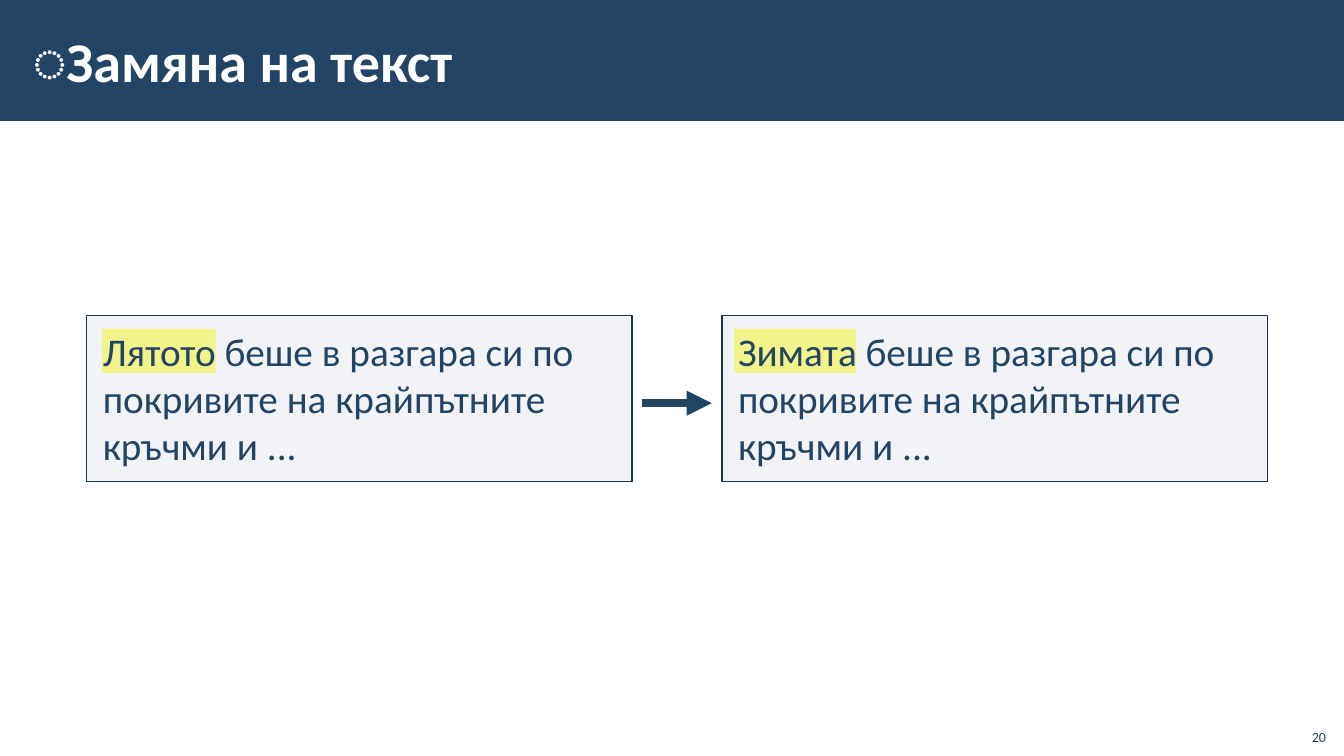
from dataclasses import dataclass

from lxml.etree import SubElement
from pptx import Presentation
from pptx.dml.color import RGBColor
from pptx.enum.shapes import MSO_CONNECTOR, MSO_SHAPE
from pptx.enum.text import MSO_ANCHOR, PP_ALIGN
from pptx.oxml.ns import qn
from pptx.util import Inches, Pt

TITLE = "͏Замяна на текст"
PAGE_NUMBER = "20"
SENTENCES = [
    {"text": "Лятото беше в разгара си по покривите на крайпътните кръчми и ...",
     "mark_offset": 0.15, "mark_width": 1.13},
    {"text": "Зимата беше в разгара си по покривите на крайпътните кръчми и ...",
     "mark_offset": 0.12, "mark_width": 1.21},
]


@dataclass(frozen=True)
class Theme:
    font: str = "Calibri"
    navy: str = "234465"
    outline: str = "1A334C"
    panel: str = "ADB4C3"
    mark: str = "FFFF00"
    arrow: str = "214364"
    white: str = "FFFFFF"
    title_size: int = 40
    body_size: int = 28
    number_size: int = 10


THEME = Theme()
SLIDE_WIDTH, SLIDE_HEIGHT = 13.33, 7.5
HEADER_HEIGHT = 0.16 * SLIDE_HEIGHT
PANEL_LEFT, PANEL_TOP = 0.86, 3.13
PANEL_WIDTH, PANEL_HEIGHT = 5.41, 1.65
PANEL_STEP = 6.3
MARK_TOP, MARK_HEIGHT = PANEL_TOP + 0.13, 0.44
ARROW_GAP, ARROW_Y = 0.1, 4.0

deck = Presentation()
deck.slide_width, deck.slide_height = Inches(SLIDE_WIDTH), Inches(SLIDE_HEIGHT)
slide = deck.slides.add_slide(deck.slide_layouts[6])


def add_block(left, top, width, height, fill, opacity=100, outline=None):
    block = slide.shapes.add_shape(
        MSO_SHAPE.RECTANGLE, Inches(left), Inches(top), Inches(width), Inches(height))
    block.shadow.inherit = False
    block.fill.solid()
    block.fill.fore_color.rgb = RGBColor.from_string(fill)
    if opacity < 100:
        color = block.fill._xPr.find(qn("a:solidFill"))[0]
        SubElement(color, qn("a:alpha")).set("val", str(opacity * 1000))
    if outline:
        block.line.color.rgb = RGBColor.from_string(outline)
        block.line.width = Pt(1)
    else:
        block.line.fill.background()
    return block


def add_label(left, top, width, height):
    return slide.shapes.add_textbox(
        Inches(left), Inches(top), Inches(width), Inches(height))


def write(holder, text, size, color, anchor, insets, align=PP_ALIGN.LEFT, bold=False):
    frame = holder.text_frame
    frame.word_wrap = True
    frame.vertical_anchor = anchor
    frame.margin_left = frame.margin_right = Inches(insets[0])
    frame.margin_top = frame.margin_bottom = Inches(insets[1])
    paragraph = frame.paragraphs[0]
    paragraph.alignment = align
    run = paragraph.add_run()
    run.text = text
    run.font.name = THEME.font
    run.font.size = Pt(size)
    run.font.bold = bold
    run.font.color.rgb = RGBColor.from_string(color)


add_block(0, 0, SLIDE_WIDTH, HEADER_HEIGHT, THEME.navy)
write(add_label(0.21, 0.11, 11.23, 0.97), TITLE, THEME.title_size, THEME.white,
      MSO_ANCHOR.MIDDLE, (0.12, 0.04), bold=True)
write(add_label(12.85, 7.12, 0.4, 0.32), PAGE_NUMBER, THEME.number_size, THEME.navy,
      MSO_ANCHOR.BOTTOM, (0.1, 0.05), PP_ALIGN.RIGHT)

for column, sentence in enumerate(SENTENCES):
    left = PANEL_LEFT + column * PANEL_STEP
    add_block(left + sentence["mark_offset"], MARK_TOP, sentence["mark_width"],
              MARK_HEIGHT, THEME.mark, 50)
    panel = add_block(left, PANEL_TOP, PANEL_WIDTH, PANEL_HEIGHT, THEME.panel, 15,
                      THEME.outline)
    write(panel, sentence["text"], THEME.body_size, THEME.navy, MSO_ANCHOR.TOP,
          (0.16, 0.12))

arrow = slide.shapes.add_connector(
    MSO_CONNECTOR.STRAIGHT,
    Inches(PANEL_LEFT + PANEL_WIDTH + ARROW_GAP), Inches(ARROW_Y),
    Inches(PANEL_LEFT + PANEL_STEP - ARROW_GAP), Inches(ARROW_Y))
arrow.line.color.rgb = RGBColor.from_string(THEME.arrow)
arrow.line.width = Pt(6)
SubElement(arrow.line._get_or_add_ln(), qn("a:tailEnd")).set("type", "triangle")
SubElement(arrow._element.spPr, qn("a:effectLst"))

deck.save("out.pptx")
